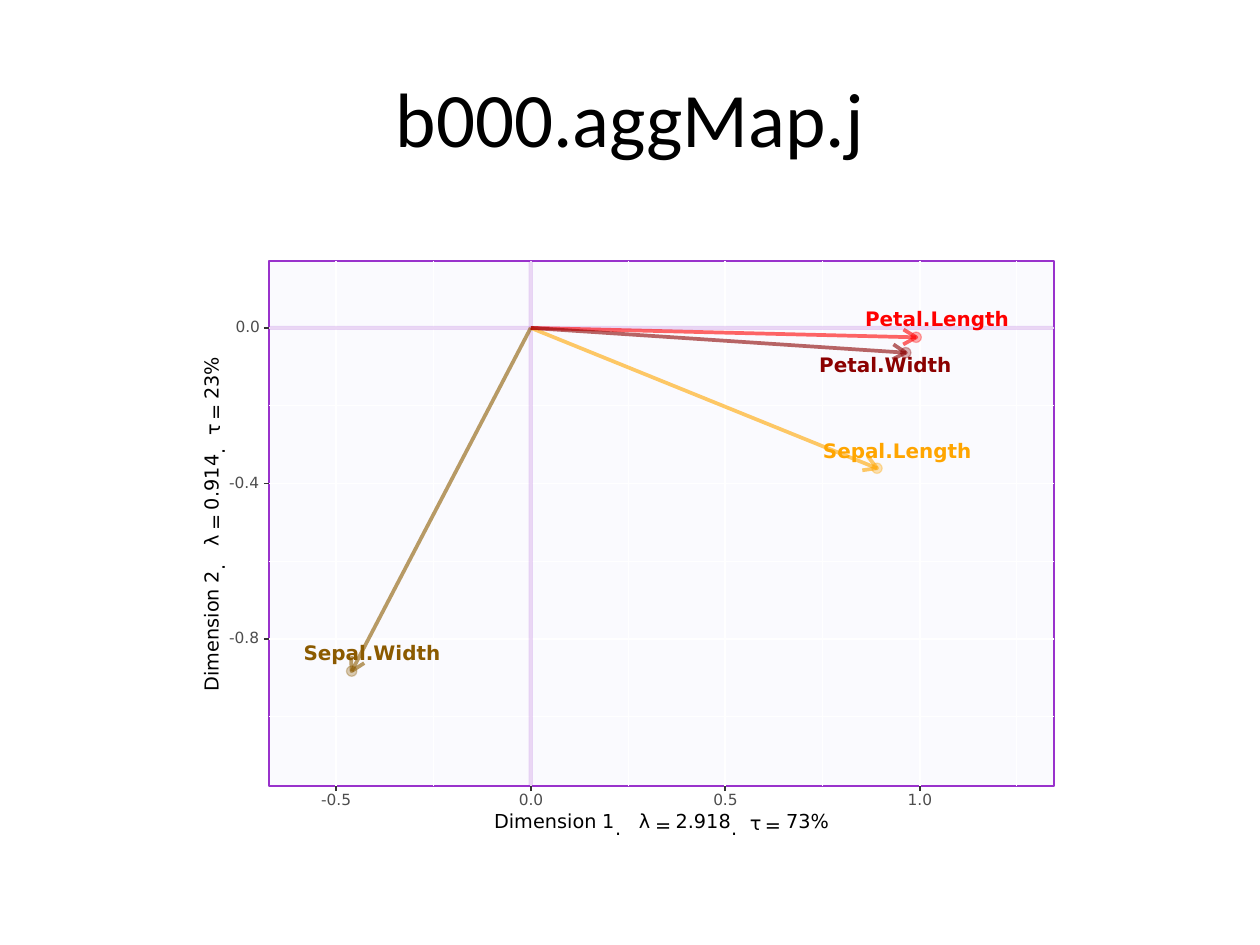
import math
from dataclasses import dataclass

from lxml import etree
from pptx import Presentation
from pptx.dml.color import RGBColor
from pptx.enum import shapes, text
from pptx.oxml import ns
from pptx.util import Cm, Pt


@dataclass(frozen=True)
class Theme:
    title_font: str = "Calibri"
    plot_font: str = "DejaVu Sans"
    title_size: float = 44
    label_size: float = 11.4
    caption_size: float = 11
    tick_size: float = 8.8
    black: str = "000000"
    white: str = "FFFFFF"
    panel: str = "E6E6FA"
    purple: str = "9932CC"
    tick: str = "333333"
    tick_text: str = "4D4D4D"


THEME = Theme()

# Plot geometry in centimetres
LEFT, TOP, RIGHT, BOTTOM = 5.42, 5.26, 21.25, 15.85
ORIGIN_X, ORIGIN_Y, UNIT = 10.7, 6.61, 7.84
TICK, HEAD, DOT = 0.1, 0.3, 0.21

X_MAJOR, X_MINOR = (-0.5, 0, 0.5, 1), (-0.25, 0.25, 0.75, 1.25)
Y_MAJOR, Y_MINOR = (-0.8, -0.4, 0), (-1, -0.6, -0.2)

# Name, colour, vector tip, label centre and label width
VARIABLES = [
    ("Sepal.Length", "FFA500", (17.68, 9.44), (18.13, 9.12), 3.08),
    ("Sepal.Width", "8B5A00", (7.09, 13.53), (7.54, 13.2), 2.84),
    ("Petal.Length", "FF0000", (18.47, 6.8), (18.94, 6.46), 3.0),
    ("Petal.Width", "8B0000", (18.26, 7.11), (17.89, 7.39), 2.75),
]

# Offset along the caption, drop below its centre line, width, height
CAPTION_SLOTS = [
    (0, 0, 2.26, 0.3), (2.18, 0, 0.29, 0.28), (2.44, 0.13, 0.29, 0.05),
    (2.92, 0, 0.27, 0.3), (3.25, 0.08, 0.37, 0.1), (3.66, 0, 1.18, 0.3),
    (4.78, 0.13, 0.17, 0.05), (5.16, 0.03, 0.27, 0.2), (5.46, 0.08, 0.37, 0.1),
    (5.89, 0, 0.54, 0.3), (6.38, 0, 0.42, 0.3),
]


def x_at(value):
    return ORIGIN_X + UNIT * value


def y_at(value):
    return ORIGIN_Y - UNIT * value


def set_alpha(element, percent):
    for color in element.iter(ns.qn("a:srgbClr")):
        etree.SubElement(color, ns.qn("a:alpha")).set("val", str(percent * 1000))


def style_line(shape, color, width, alpha=100):
    shape.line.color.rgb = RGBColor.from_string(color)
    shape.line.width = Pt(width)
    if alpha < 100:
        set_alpha(shape._element.spPr.find(ns.qn("a:ln")), alpha)


def add_block(plot, kind, frame, fill, line, width, fill_alpha=100, line_alpha=100):
    block = plot.shapes.add_shape(kind, *map(Cm, frame))
    block.shadow.inherit = False
    block.fill.solid()
    block.fill.fore_color.rgb = RGBColor.from_string(fill)
    if fill_alpha < 100:
        set_alpha(block._element.spPr.find(ns.qn("a:solidFill")), fill_alpha)
    style_line(block, line, width, line_alpha)


def add_line(plot, start, end, color, width, alpha=100):
    line = plot.shapes.add_connector(
        shapes.MSO_CONNECTOR.STRAIGHT, *map(Cm, (*start, *end)))
    style_line(line, color, width, alpha)
    etree.SubElement(line._element.spPr, ns.qn("a:effectLst"))


def add_text(plot, content, center, size, *, font_size, color, bold=False, rotation=0):
    (x, y), (width, height) = center, size
    box = plot.shapes.add_textbox(
        Cm(x - width / 2), Cm(y - height / 2), Cm(width), Cm(height))
    box.rotation = rotation
    frame = box.text_frame
    frame.margin_left = frame.margin_right = frame.margin_top = frame.margin_bottom = 0
    frame.word_wrap = False
    frame.vertical_anchor = text.MSO_ANCHOR.MIDDLE
    para = frame.paragraphs[0]
    para.line_spacing = Pt(font_size)
    span = para.add_run()
    span.text = content
    span.font.name = THEME.plot_font
    span.font.size = Pt(font_size)
    span.font.bold = bold
    span.font.color.rgb = RGBColor.from_string(color)


def add_vector(plot, color, tip):
    start = (ORIGIN_X, ORIGIN_Y)
    add_line(plot, start, tip, color, 2.13, 60)
    angle = math.atan2(start[1] - tip[1], start[0] - tip[0])
    barbs = [(tip[0] + HEAD * math.cos(angle + turn), tip[1] + HEAD * math.sin(angle + turn))
             for turn in (-math.pi / 6, math.pi / 6)]
    first, *rest = [(Cm(x), Cm(y)) for x, y in (barbs[0], tip, barbs[1])]
    builder = plot.shapes.build_freeform(*first)
    builder.add_line_segments(rest, close=False)
    head = builder.convert_to_shape()
    head.shadow.inherit = False
    head.fill.background()
    style_line(head, color, 2.13, 60)


def add_grid(plot, x_values, y_values, color, width, alpha=100):
    for value in y_values:
        add_line(plot, (LEFT, y_at(value)), (RIGHT, y_at(value)), color, width, alpha)
    for value in x_values:
        add_line(plot, (x_at(value), BOTTOM), (x_at(value), TOP), color, width, alpha)


def add_ticks(plot):
    def add_tick(value, start, end, label_center):
        add_line(plot, start, end, THEME.tick, 1.07)
        add_text(plot, f"{value:.1f}", label_center, (label_width(value), 0.23),
                 font_size=THEME.tick_size, color=THEME.tick_text)

    def label_width(value):
        return 0.67 if value < 0 else 0.54

    for value in Y_MAJOR:
        y = y_at(value)
        add_tick(value, (LEFT - TICK, y), (LEFT, y), (5.29 - label_width(value) / 2, y))
    for value in X_MAJOR:
        x = x_at(value)
        add_tick(value, (x, BOTTOM + TICK), (x, BOTTOM), (x + 0.03, 16.14))


def add_caption(plot, number, eigenvalue, share, start, vertical=False):
    words = ["Dimension ", number, ". ", "λ", "=", eigenvalue, ".", "τ", "=", share, "%"]
    for word, (offset, drop, width, height) in zip(words, CAPTION_SLOTS):
        along = offset + width / 2
        center = ((start[0] + drop, start[1] - along) if vertical
                  else (start[0] + along, start[1] + drop))
        add_text(plot, word, center, (width, height), font_size=THEME.caption_size,
                 color=THEME.black, rotation=270 if vertical else 0)


def set_title(page, content):
    title = page.shapes.title
    title.left, title.top, title.width, title.height = map(Cm, (1.27, 0.76, 22.86, 3.18))
    title.text_frame.vertical_anchor = text.MSO_ANCHOR.MIDDLE
    para = title.text_frame.paragraphs[0]
    para.alignment = text.PP_ALIGN.CENTER
    span = para.add_run()
    span.text = content
    span.font.name = THEME.title_font
    span.font.size = Pt(THEME.title_size)
    span.font.color.rgb = RGBColor.from_string(THEME.black)


def main():
    deck = Presentation()
    deck.slide_width, deck.slide_height = Cm(25.4), Cm(19.05)
    page = deck.slides.add_slide(deck.slide_layouts[5])
    set_title(page, "b000.aggMap.j")
    plot = page.shapes.add_group_shape()

    # Backgrounds and panel
    rectangle, oval = shapes.MSO_SHAPE.RECTANGLE, shapes.MSO_SHAPE.OVAL
    add_block(plot, rectangle, (1.27, 4.45, 22.86, 12.57), THEME.white, THEME.white, 0.75)
    add_block(plot, rectangle, (3.96, 4.45, 17.48, 12.57), THEME.white, THEME.white, 1.07)
    add_block(plot, rectangle, (LEFT, TOP, RIGHT - LEFT, BOTTOM - TOP),
              THEME.panel, THEME.purple, 1.07, fill_alpha=20)

    # Grid and zero axes
    add_grid(plot, X_MINOR, Y_MINOR, THEME.white, 0.53)
    add_grid(plot, X_MAJOR, Y_MAJOR, THEME.white, 1.07)
    add_grid(plot, [0], [0], THEME.purple, 2.35, 20)

    # Points, names and vectors
    for _, color, (x, y), _, _ in VARIABLES:
        add_block(plot, oval, (x - DOT / 2, y - DOT / 2, DOT, DOT),
                  color, color, 0.71, fill_alpha=30, line_alpha=30)
    for name, color, _, center, width in VARIABLES:
        add_text(plot, name, center, (width, 0.38), font_size=THEME.label_size,
                 color=color, bold=True)
    for _, color, tip, _, _ in VARIABLES:
        add_vector(plot, color, tip)

    # Axes
    add_ticks(plot)
    add_caption(plot, "1", "2.918", "73", (9.96, 16.59))
    add_caption(plot, "2", "0.914", "23", (4.29, 13.94), vertical=True)

    deck.save("out.pptx")


main()
